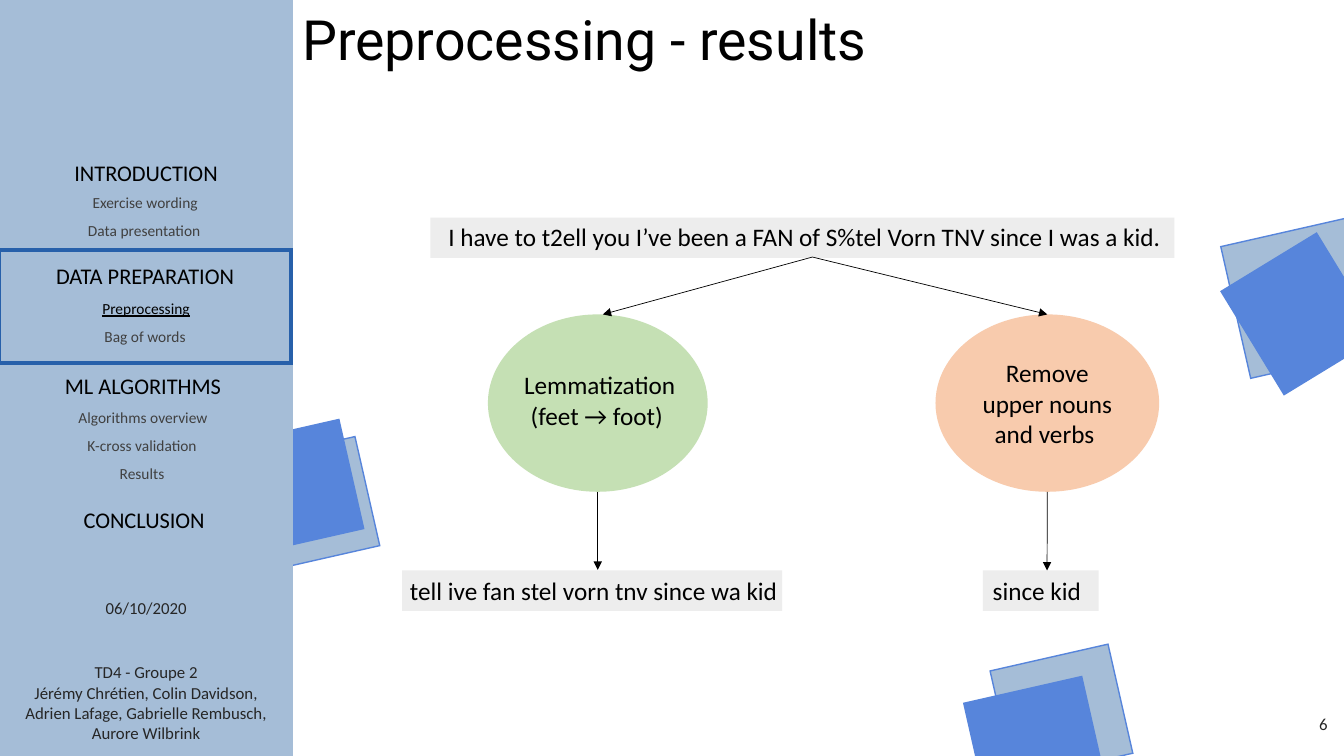
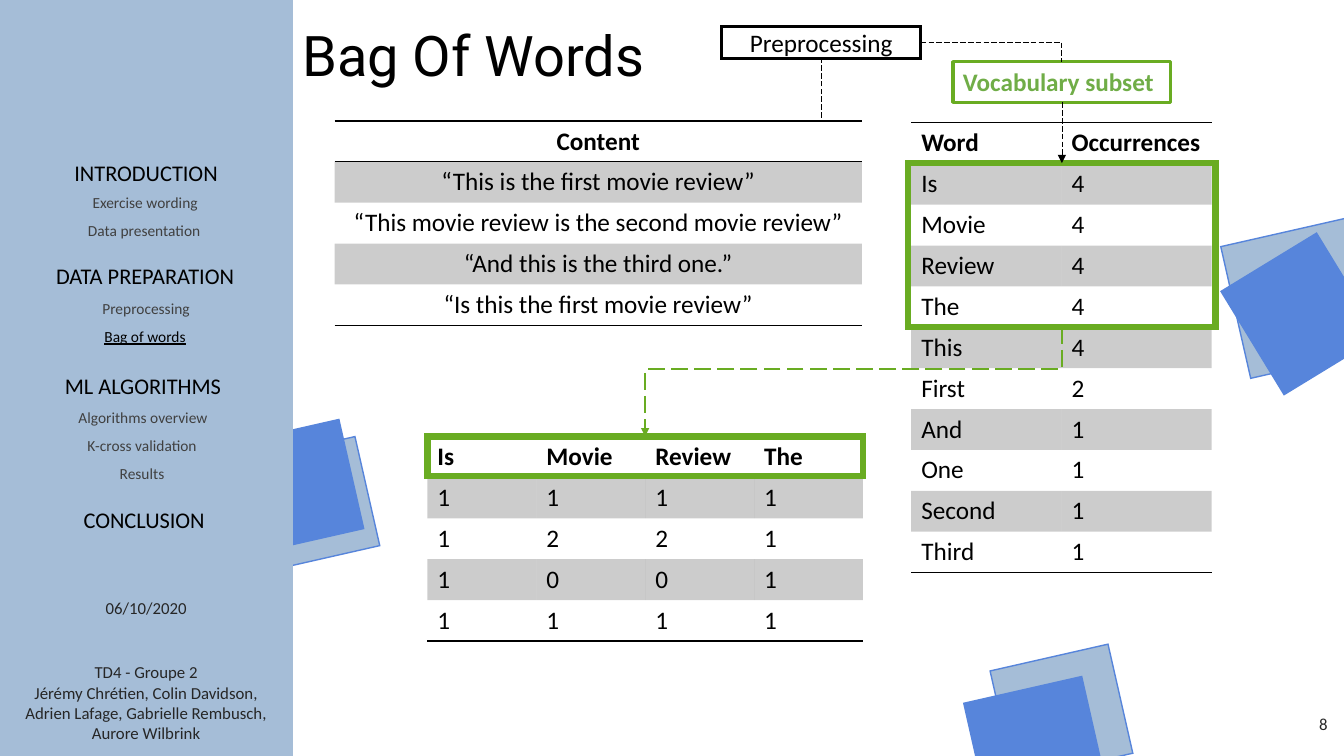
from dataclasses import dataclass, replace
from typing import Optional, Sequence

from lxml.etree import SubElement
from pptx import Presentation
from pptx.dml.color import RGBColor
from pptx.enum.dml import MSO_LINE
from pptx.enum.shapes import MSO_CONNECTOR, MSO_SHAPE
from pptx.enum.text import MSO_ANCHOR, PP_ALIGN
from pptx.oxml.ns import qn
from pptx.util import Pt

BLACK, WHITE, INK, GREY = "000000", "FFFFFF", "262626", "404040"
PALE_BLUE, BLUE, DARK_BLUE = "A5BDD7", "5785DB", "2760AA"
GREEN, GREEN_TEXT, BAND = "69AC22", "70AD47", "EDEDED"
LEAF, PEACH = "C5E0B4", "F8CBAD"
SIDEBAR_WIDTH, ROW_HEIGHT = 208.8, 29.2
NO_GRID_STYLE = "{2D5ABB26-0587-4C30-8999-92F81FD0307C}"
TOP, BOTTOM, RIGHT = 0, 2, 3


@dataclass(frozen=True)
class Box:
    left: float
    top: float
    width: float
    height: float

    def lengths(self) -> tuple:
        return tuple(Pt(value) for value in (self.left, self.top, self.width, self.height))


@dataclass(frozen=True)
class TextStyle:
    size: float = 18
    color: str = BLACK
    font: str = "Calibri"
    bold: bool = False
    underline: bool = False
    align: PP_ALIGN = PP_ALIGN.LEFT
    anchor: MSO_ANCHOR = MSO_ANCHOR.TOP
    spacing: float = 1.0


@dataclass(frozen=True)
class Look:
    fill: Optional[str] = None
    line: Optional[str] = None
    width: float = 1
    rotation: float = 0
    miter: bool = True
    kind: MSO_SHAPE = MSO_SHAPE.RECTANGLE


@dataclass(frozen=True)
class Stroke:
    color: str = BLACK
    width: float = 0.5
    dashed: bool = False
    arrow: bool = True


@dataclass(frozen=True)
class MenuEntry:
    text: str
    left: float
    top: float
    heading: bool = False


BODY = TextStyle()
CENTERED = TextStyle(align=PP_ALIGN.CENTER)
MIDDLE = replace(CENTERED, anchor=MSO_ANCHOR.MIDDLE)
TITLE = TextStyle(40, font="Roboto", anchor=MSO_ANCHOR.MIDDLE, spacing=0.9)
FOOTER = replace(MIDDLE, size=12, color=INK)
HEADING = replace(CENTERED, size=16)
SUBHEADING = replace(CENTERED, size=11, color=GREY)
CURRENT = replace(SUBHEADING, color=BLACK, underline=True)

BACK = Look(PALE_BLUE, BLUE, rotation=347.2)
FRONT = Look(BLUE, BLUE, rotation=347.2)
DECORATION = [
    (Box(715, 468.7, 86.4, 79.9), BACK),
    (Box(881.3, 162.7, 110.9, 96.5), BACK),
    (Box(177.1, 320.4, 86.4, 79.9), BACK),
    (Box(165.6, 308.2, 86.4, 79.9), FRONT),
    (Box(0, 0, SIDEBAR_WIDTH, 540), Look(PALE_BLUE, PALE_BLUE)),
    (Box(885.6, 184.3, 86.4, 79.9), replace(FRONT, rotation=58.6)),
    (Box(696.2, 491.8, 86.4, 79.9), FRONT),
]
MENU = [
    MenuEntry("INTRODUCTION", 0, 110.2, True),
    MenuEntry("Exercise wording", -0.7, 134.6),
    MenuEntry("Data presentation", -1.4, 154.4),
    MenuEntry("DATA PREPARATION", -0.7, 183.6, True),
    MenuEntry("Preprocessing", 0, 210.2),
    MenuEntry("Bag of words", -0.7, 230),
    MenuEntry("ML ALGORITHMS", -2.2, 262.1, True),
    MenuEntry("Algorithms overview", -2.2, 288),
    MenuEntry("K-cross validation", -2.9, 307.8),
    MenuEntry("Results", -2.9, 328.1),
    MenuEntry("CONCLUSION", -1.4, 357.8, True),
]


def color(value: str) -> RGBColor:
    return RGBColor.from_string(value)


def write(frame, text: str, style: TextStyle) -> None:
    """Fill a text frame; each line of text is a paragraph."""
    frame.word_wrap = True
    frame.vertical_anchor = style.anchor
    formats = {"name": style.font, "size": Pt(style.size),
               "bold": style.bold, "underline": style.underline}
    for index, line in enumerate(text.split("\n")):
        paragraph = frame.add_paragraph() if index else frame.paragraphs[0]
        paragraph.alignment = style.align
        paragraph.line_spacing = style.spacing
        run = paragraph.add_run()
        run.text = line
        for name, value in formats.items():
            setattr(run.font, name, value)
        run.font.color.rgb = color(style.color)


def add_text(slide, box: Box, text: str, style: TextStyle = BODY):
    shape = slide.shapes.add_textbox(*box.lengths())
    write(shape.text_frame, text, style)
    return shape


def add_box(slide, box: Box, look: Look, text: str = "", style: TextStyle = MIDDLE):
    shape = slide.shapes.add_shape(look.kind, *box.lengths())
    shape.shadow.inherit = False
    shape.rotation = look.rotation
    if look.fill:
        shape.fill.solid()
        shape.fill.fore_color.rgb = color(look.fill)
    else:
        shape.fill.background()
    if look.line:
        shape.line.color.rgb = color(look.line)
        shape.line.width = Pt(look.width)
        if look.miter:
            SubElement(shape.line._get_or_add_ln(), qn("a:miter"), lim="800000")
    else:
        shape.line.fill.background()
    if text:
        write(shape.text_frame, text, style)
    return shape


def add_line(slide, start: tuple, end: tuple, stroke: Stroke, begin_at=None, end_at=None,
             kind: MSO_CONNECTOR = MSO_CONNECTOR.STRAIGHT):
    """begin_at and end_at are (shape, side) pairs that the ends are joined to."""
    connector = slide.shapes.add_connector(kind, *(Pt(value) for value in (*start, *end)))
    if begin_at:
        connector.begin_connect(*begin_at)
    if end_at:
        connector.end_connect(*end_at)
    connector.line.color.rgb = color(stroke.color)
    connector.line.width = Pt(stroke.width)
    if stroke.dashed:
        connector.line.dash_style = MSO_LINE.LONG_DASH
    if stroke.arrow:
        SubElement(connector.line._get_or_add_ln(), qn("a:tailEnd"), type="triangle")
    SubElement(connector._element.spPr, qn("a:effectLst"))
    return connector


def turn_downward(connector, bend: int) -> None:
    """Make a right-to-left elbow leave and arrive vertically."""
    width, height = connector.width, connector.height
    center_x, center_y = connector.left + width // 2, connector.top + height // 2
    transform = connector._element.spPr.find(qn("a:xfrm"))
    transform.attrib.pop("flipH", None)
    transform.set("rot", "5400000")
    placement = {"left": center_x - height // 2, "top": center_y - width // 2,
                 "width": height, "height": width}
    for name, value in placement.items():
        setattr(connector, name, value)
    adjustments = connector._element.spPr.find(qn("a:prstGeom")).find(qn("a:avLst"))
    SubElement(adjustments, qn("a:gd"), name="adj1", fmla=f"val {bend}")


def add_rule(cell, side: str) -> None:
    line = SubElement(cell._tc.get_or_add_tcPr(), qn(f"a:{side}"), w=str(Pt(1)))
    fill = SubElement(line, qn("a:solidFill"))
    SubElement(fill, qn("a:srgbClr"), val=BLACK)


def add_grid(slide, left: float, top: float, column_width: float,
             rows: Sequence[Sequence[str]], style: TextStyle = BODY) -> None:
    """A table ruled above and below its header and at its end, with odd rows shaded."""
    count = len(rows[0])
    box = Box(left, top, column_width * count, ROW_HEIGHT * len(rows))
    table = slide.shapes.add_table(len(rows), count, *box.lengths()).table
    table.first_row = table.horz_banding = False
    table._tbl.tblPr.find(qn("a:tableStyleId")).text = NO_GRID_STYLE
    for column in table.columns:
        column.width = Pt(column_width)
    for row_index, values in enumerate(rows):
        table.rows[row_index].height = Pt(ROW_HEIGHT)
        for column_index, value in enumerate(values):
            cell = table.cell(row_index, column_index)
            write(cell.text_frame, value, replace(style, bold=row_index == 0))
            if row_index == 0:
                add_rule(cell, "lnT")
            if row_index in (0, len(rows) - 1):
                add_rule(cell, "lnB")
            if row_index % 2:
                cell.fill.solid()
                cell.fill.fore_color.rgb = color(BLACK)
                shade = cell._tc.tcPr.find(qn("a:solidFill"))[0]
                SubElement(shade, qn("a:alpha"), val="20000")
            else:
                cell.fill.background()


def add_base_slide(presentation, title: str, title_height: float, number: int, current: str,
                   title_style: TextStyle = TITLE):
    """Decoration, sidebar menu, title and footers common to the slides."""
    slide = presentation.slides.add_slide(presentation.slide_layouts[6])
    for box, look in DECORATION:
        add_box(slide, box, look)
    for entry in MENU:
        style = HEADING if entry.heading else CURRENT if entry.text == current else SUBHEADING
        height = 26.6 if entry.heading else 20.9
        add_text(slide, Box(entry.left, entry.top, SIDEBAR_WIDTH, height), entry.text, style)
    add_text(slide, Box(0, 469.4, SIDEBAR_WIDTH, 65.5),
             "TD4 - Groupe 2\nJérémy Chrétien, Colin Davidson, Adrien Lafage, "
             "Gabrielle Rembusch, Aurore Wilbrink", replace(FOOTER, anchor=MSO_ANCHOR.TOP))
    add_text(slide, Box(SIDEBAR_WIDTH, 10.1, 549.4, title_height), title, title_style)
    add_text(slide, Box(0, 419.8, SIDEBAR_WIDTH, 28.8), "06/10/2020", FOOTER)
    add_text(slide, Box(739.4, 502.6, 216, 28.8), str(number),
             replace(FOOTER, align=PP_ALIGN.RIGHT))
    return slide


def build_results(presentation) -> None:
    slide = add_base_slide(presentation, "Preprocessing - results", 41, 6, "Preprocessing",
                           replace(TITLE, size=39.6))
    add_box(slide, Box(-0.7, 178.6, SIDEBAR_WIDTH, 80.6), Look(line=DARK_BLUE, width=3))

    # Sentences on grey bands
    for left, top, width in ((702, 407.5, 82.8), (287.3, 407.5, 271.4), (307.4, 155.5, 531.4)):
        add_box(slide, Box(left, top, width, 28.8), Look(BAND))
    sentence = add_text(slide, Box(313.2, 154.8, 534.2, 28.8),
                        "I have to t2ell you I’ve been a FAN of S%tel Vorn TNV since I was a kid.")
    add_text(slide, Box(285.8, 407.5, 285.8, 28.8), "tell ive fan stel vorn tnv since wa kid")
    short_result = add_text(slide, Box(702, 407.5, 91.8, 28.8), "since kid")

    # Processing steps
    add_box(slide, Box(348.5, 224.6, 157, 126.7), Look(LEAF, kind=MSO_SHAPE.OVAL))
    add_text(slide, Box(307.4, 260.6, 241.9, 51.1), "Lemmatization\n(feet → foot) ", CENTERED)
    add_box(slide, Box(668.2, 224.6, 159.8, 126.7), Look(PEACH, kind=MSO_SHAPE.OVAL),
            "Remove upper nouns and verbs ")

    # Arrows
    for end_x in (430.6, 748.1):
        add_line(slide, (580.3, 183.6), (end_x, 224.6), Stroke(), begin_at=(sentence, BOTTOM))
    add_line(slide, (427, 351.3), (427, 407), Stroke())
    add_line(slide, (748.1, 351.3), (748.1, 407), Stroke(), end_at=(short_result, TOP))


def build_bag_of_words(presentation) -> None:
    slide = add_base_slide(presentation, "Bag Of Words", 63.4, 8, "Bag of words")

    # Tables
    counts = {"Is": 4, "Movie": 4, "Review": 4, "The": 4, "This": 4, "First": 2,
              "And": 1, "One": 1, "Second": 1, "Third": 1}
    add_grid(slide, 650.9, 87.8, 107.3,
             [("Word", "Occurrences")] + [(word, str(count)) for word, count in counts.items()])
    add_grid(slide, 305.3, 311.8, 77.8,
             [("Is", "Movie", "Review", "The"), "1111", "1221", "1001", "1111"])
    add_grid(slide, 239, 86.4, 376.6,
             [("Content",), ("“This is the first movie review”",),
              ("“This movie review is the second movie review”",),
              ("“And this is the third one.”",), ("“Is this the first movie review”",)], CENTERED)

    # Frames and labels
    frame = Look(line=GREEN, width=4.5)
    subset_frame = add_box(slide, Box(648.7, 116.6, 219.6, 116.9), frame)
    header_frame = add_box(slide, Box(305.3, 311.8, 311, 28.1), frame)
    vocabulary = add_box(slide, Box(680.7, 44, 155.6, 29.1),
                         Look(line=GREEN, width=2.25, miter=False), "Vocabulary subset",
                         TextStyle(color=GREEN_TEXT, bold=True))
    preprocessing = add_box(slide, Box(515.5, 18.7, 142.2, 23),
                            Look(WHITE, BLACK, 2.25), "Preprocessing")

    # Dashed links
    plain = Stroke(dashed=True, arrow=False)
    add_line(slide, (586.6, 84.2), (586.6, 41.7), plain, end_at=(preprocessing, BOTTOM))
    corner = add_line(slide, (657.7, 30.2), (758.5, 44), plain, (preprocessing, RIGHT),
                      (vocabulary, TOP), MSO_CONNECTOR.ELBOW)
    corner._element.spPr.find(qn("a:prstGeom")).set("prst", "bentConnector2")
    add_line(slide, (758.5, 73.1), (758.5, 116.6), Stroke(dashed=True),
             (vocabulary, BOTTOM), (subset_frame, TOP))
    elbow = add_line(slide, (758.5, 233.5), (460.8, 311.8), Stroke(GREEN, 1.5, True),
                     (subset_frame, BOTTOM), (header_frame, TOP), MSO_CONNECTOR.ELBOW)
    turn_downward(elbow, 38700)


def main() -> None:
    presentation = Presentation()
    presentation.slide_width, presentation.slide_height = Pt(960), Pt(540)
    build_results(presentation)
    build_bag_of_words(presentation)
    presentation.save("out.pptx")


if __name__ == "__main__":
    main()
